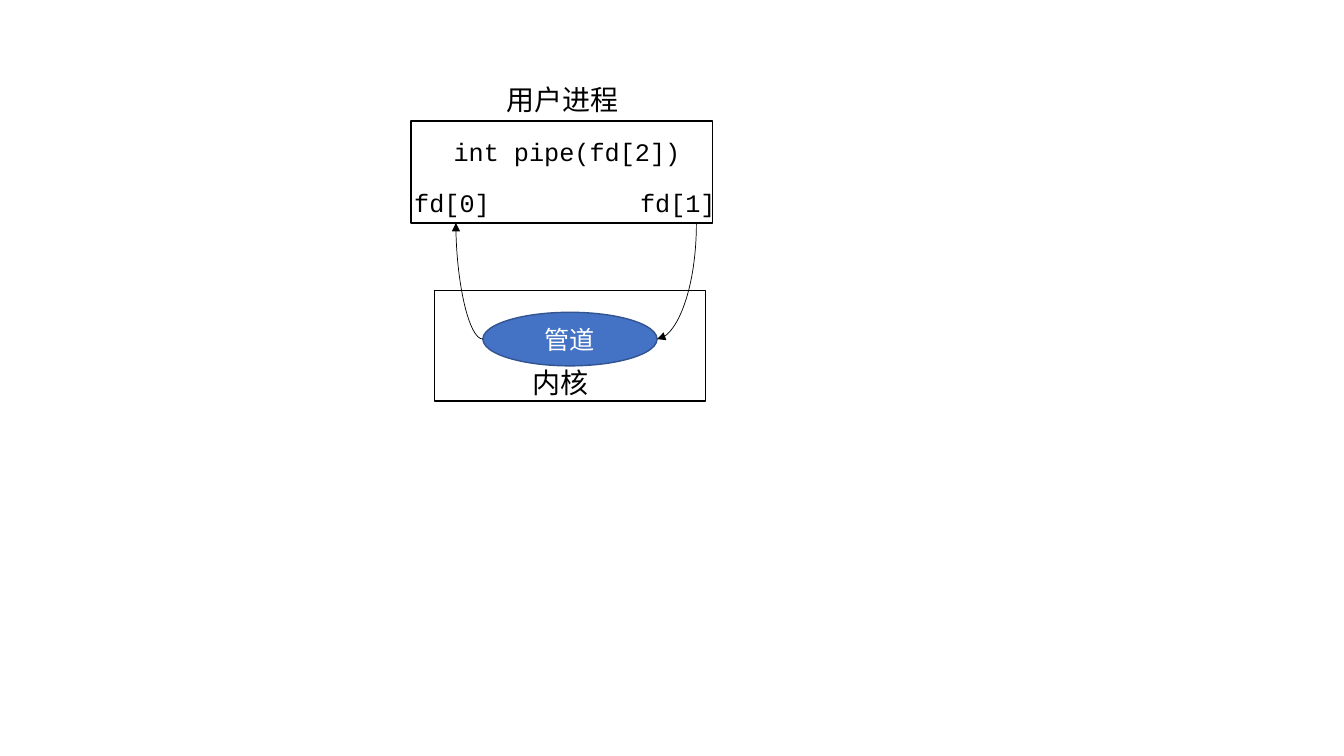
from dataclasses import dataclass

from lxml import etree
from pptx import Presentation
from pptx.dml.color import RGBColor
from pptx.enum.shapes import MSO_CONNECTOR, MSO_SHAPE
from pptx.enum.text import MSO_ANCHOR, MSO_AUTO_SIZE, PP_ALIGN
from pptx.oxml.ns import qn
from pptx.util import Cm, Pt


@dataclass(frozen=True)
class Theme:
    """Colours, fonts and sizes used on the slide."""
    black: RGBColor = RGBColor(0x00, 0x00, 0x00)
    white: RGBColor = RGBColor(0xFF, 0xFF, 0xFF)
    pipe_fill: RGBColor = RGBColor(0x44, 0x72, 0xC4)
    pipe_line: RGBColor = RGBColor(0x32, 0x54, 0x91)
    label_font: str = "Noto Sans CJK SC"
    code_font: str = "Courier New"
    label_size: Pt = Pt(20)
    body_size: Pt = Pt(18)
    outline: Pt = Pt(1)
    arrow: Pt = Pt(0.5)


theme = Theme()


def add_outline(kind, box, fill, line):
    """Add a filled, outlined preset shape; box is in centimetres."""
    shape = slide.shapes.add_shape(kind, *map(Cm, box))
    shape.shadow.inherit = False
    shape.fill.solid()
    shape.fill.fore_color.rgb = fill
    shape.line.color.rgb = line
    shape.line.width = theme.outline
    return shape


def write(frame, text, font, size, color):
    """Write one run into a text frame, for Latin and East Asian text."""
    run = frame.paragraphs[0].add_run()
    run.text = text
    run.font.size = size
    run.font.color.rgb = color
    run.font.name = font
    etree.SubElement(run._r.get_or_add_rPr(), qn("a:ea"), typeface=font)


prs = Presentation()
prs.slide_width, prs.slide_height = Cm(33.87), Cm(19.05)
slide = prs.slides.add_slide(prs.slide_layouts[6])

# User process and kernel, with the pipe inside the kernel
process_box = (10.36, 3.05, 7.59, 2.57)
kernel_box = (10.95, 7.32, 6.83, 2.79)
pipe_box = (12.17, 7.87, 4.39, 1.35)
for box in (process_box, kernel_box):
    add_outline(MSO_SHAPE.RECTANGLE, box, theme.white, theme.black)
pipe = add_outline(MSO_SHAPE.OVAL, pipe_box, theme.pipe_fill, theme.pipe_line)
pipe.text_frame.vertical_anchor = MSO_ANCHOR.MIDDLE
pipe.text_frame.paragraphs[0].alignment = PP_ALIGN.CENTER
write(pipe.text_frame, "管道", theme.label_font, theme.body_size, theme.white)

# Labels: text, left, top, width, height
label_style = (theme.label_font, theme.label_size)
code_style = (theme.code_font, theme.body_size)
labels = [
    ("用户进程", (12.52, 1.96, 4.39, 1.12), label_style),
    ("int pipe(fd[2])", (11.18, 3.3, 6.4, 1.02), code_style),
    ("fd[0]", (10.19, 4.6, 2.62, 1.02), code_style),
    ("fd[1]", (15.88, 4.6, 2.62, 1.02), code_style),
    ("内核", (13.18, 9.09, 3.1, 1.12), label_style),
]
for text, box, (font, size) in labels:
    frame = slide.shapes.add_textbox(*map(Cm, box)).text_frame
    frame.word_wrap = True
    frame.auto_size = MSO_AUTO_SIZE.SHAPE_TO_FIT_TEXT
    write(frame, text, font, size, theme.black)

# Arrows: fd[1] writes into the pipe, the pipe feeds fd[0].
# The write arrow leaves vertically, so its frame is turned by 90 degrees.
pipe_left, pipe_top, pipe_width, pipe_height = pipe_box
pipe_middle = pipe_top + pipe_height / 2
process_bottom = process_box[1] + process_box[3]
read_x, write_x = 11.49, 17.55
pipe_right = pipe_left + pipe_width
center_x = (write_x + pipe_right) / 2
center_y = (process_bottom + pipe_middle) / 2
half_length = (pipe_middle - process_bottom) / 2
half_depth = (write_x - pipe_right) / 2
arrows = [
    (center_x - half_length, center_y - half_depth,
     center_x + half_length, center_y + half_depth, 90),
    (pipe_left, pipe_middle, read_x, process_bottom, 0),
]
for *ends, degrees in arrows:
    arrow = slide.shapes.add_connector(MSO_CONNECTOR.CURVE, *map(Cm, ends))
    arrow.line.color.rgb = theme.black
    arrow.line.width = theme.arrow
    properties = arrow._element.spPr
    properties.find(qn("a:prstGeom")).set("prst", "curvedConnector2")
    if degrees:
        properties.find(qn("a:xfrm")).set("rot", str(degrees * 60000))
    etree.SubElement(properties.find(qn("a:ln")), qn("a:tailEnd"), type="triangle")
    etree.SubElement(properties, qn("a:effectLst"))

prs.save("out.pptx")
